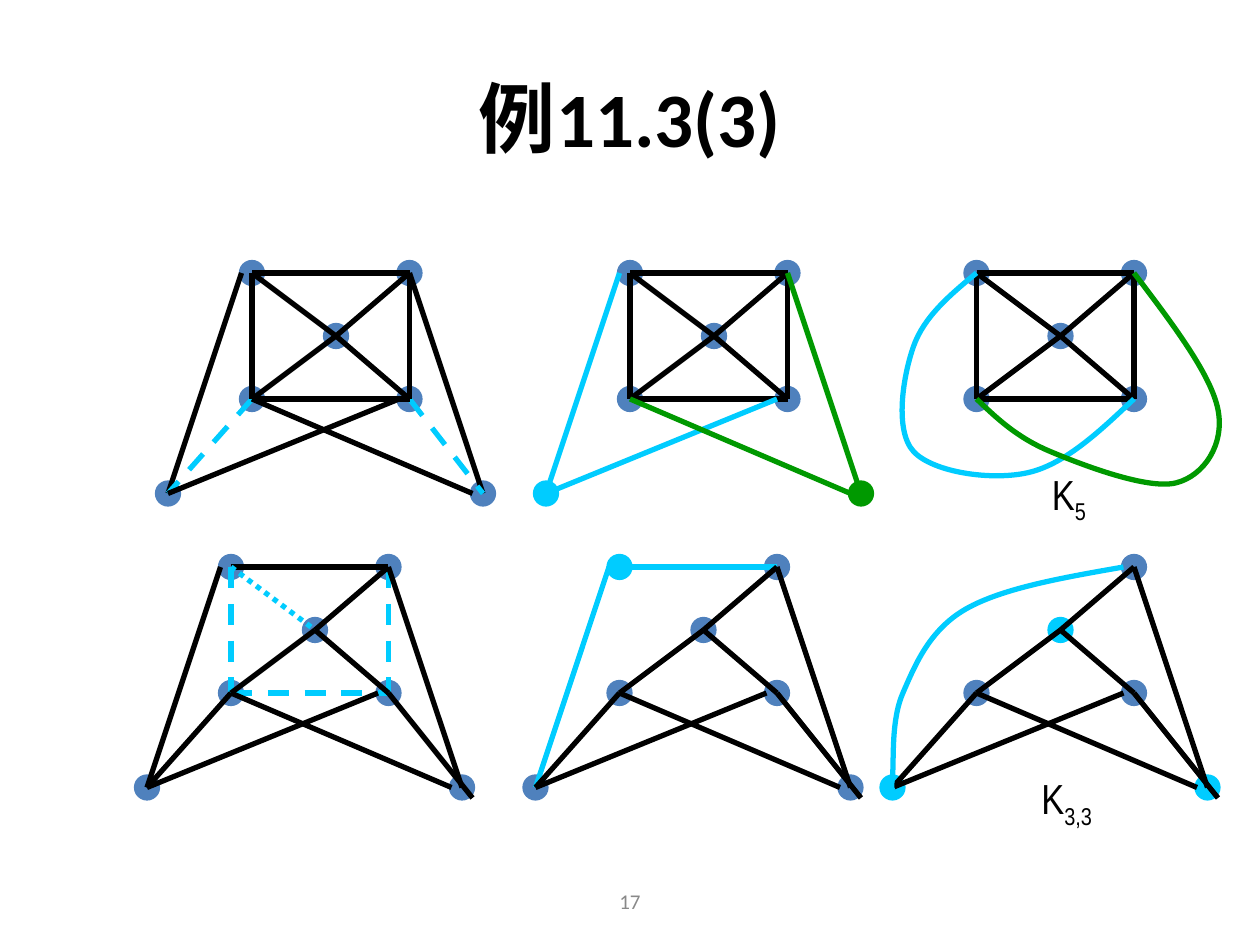
from lxml.etree import SubElement
from pptx import Presentation
from pptx.dml.color import RGBColor
from pptx.enum.dml import MSO_LINE
from pptx.enum.shapes import MSO_CONNECTOR, MSO_SHAPE
from pptx.enum.text import MSO_ANCHOR, MSO_AUTO_SIZE, PP_ALIGN
from pptx.oxml.ns import qn
from pptx.util import Pt

COLORS = {"black": "000000", "node": "4F81BD", "cyan": "00CCFF", "green": "009900", "gray": "898989"}

NODES = {"A": (0, 0), "C": (0, 72), "D": (90, 72), "B": (90, 0), "M": (48, 36), "P": (-48, 126), "Q": (132, 126)}
ENDS = NODES | {"a": (-6, 0), "d": (84, 72), "q": (126, 126), "r": (138, 132)}

SQUARE = "AC BD AB CD AM MD CM MB"
LOWER = "CP BQ Dr MD CM MB Pd Cq"

GRAPHS = [
    {
        "origin": (144, 156),
        "nodes": {"node": "ACDBMPQ"},
        "edges": [("aP BQ", "black", None), ("CP DQ", "cyan", MSO_LINE.DASH),
                  (SQUARE + " Pd Cq", "black", None)],
    },
    {
        "origin": (132, 324),
        "nodes": {"node": "ACDBMPQ"},
        "edges": [("AC BD", "cyan", MSO_LINE.DASH), ("AB", "black", None), ("CD", "cyan", MSO_LINE.DASH),
                  ("aP", "black", None), ("AM", "cyan", MSO_LINE.ROUND_DOT), (LOWER, "black", None)],
    },
    {
        "origin": (360, 156),
        "nodes": {"node": "ACDBM", "cyan": "P", "green": "Q"},
        "edges": [(SQUARE, "black", None), ("aP Pd", "cyan", None), ("BQ Cq", "green", None)],
    },
    {
        "origin": (558, 156),
        "nodes": {"node": "ACDBM"},
        "edges": [(SQUARE, "black", None)],
        "curves": [
            ("cyan", [(0, 0), (-15, 12.5), (-30, 25), (-36, 42), (-42, 59), (-47, 90), (-36, 102),
                      (-25, 114), (9, 119), (30, 114), (51, 109), (71, 90), (90, 72)]),
            ("green", [(0, 72), (11.5, 83), (23, 94), (42, 102), (61, 110), (98, 124), (114, 120),
                       (130, 116), (142, 98), (138, 78), (134, 58), (112, 29), (90, 0)]),
        ],
    },
    {
        "origin": (354, 324),
        "nodes": {"cyan": "A", "node": "CDBMPQ"},
        "edges": [("AB aP", "cyan", None), (LOWER, "black", None)],
    },
    {
        "origin": (558, 324),
        "nodes": {"node": "CDB", "cyan": "MPQ"},
        "edges": [(LOWER, "black", None)],
        "curves": [
            ("cyan", [(-48, 126), (-48, 127.5), (-49, 129), (-48, 120), (-47, 111), (-49, 88), (-42, 72),
                      (-35, 56), (-27, 36), (-6, 24), (15, 12), (50, 6), (84, 0)]),
        ],
    },
]


class GraphSlide:
    node_size = 12
    line_width = 3

    def __init__(self, slide):
        self.slide = slide
        self.shapes = slide.shapes

    def color(self, name):
        return RGBColor.from_string(COLORS[name])

    def format_line(self, line, color, dash=None):
        line.color.rgb = self.color(color)
        line.width = Pt(self.line_width)
        if dash is not None:
            line.dash_style = dash

    def format_run(self, run, size, font, color, bold=None):
        run.font.size = Pt(size)
        run.font.name = font
        run.font.color.rgb = self.color(color)
        run.font.bold = bold

    def title(self, text, left, top, width, height):
        shape = self.shapes.title
        shape.left, shape.top, shape.width, shape.height = map(Pt, (left, top, width, height))
        shape.text_frame.text = text
        shape.text_frame.vertical_anchor = MSO_ANCHOR.MIDDLE
        paragraph = shape.text_frame.paragraphs[0]
        paragraph.alignment = PP_ALIGN.CENTER
        self.format_run(paragraph.runs[0], 44, "Calibri", "black", True)

    def text_box(self, text, left, top, width, height):
        frame = self.shapes.add_textbox(*map(Pt, (left, top, width, height))).text_frame
        frame.word_wrap = True
        frame.text = text
        return frame

    def page_number(self, text, *box):
        frame = self.text_box(text, *box)
        frame.vertical_anchor = MSO_ANCHOR.MIDDLE
        paragraph = frame.paragraphs[0]
        paragraph.alignment = PP_ALIGN.CENTER
        self.format_run(paragraph.runs[0], 12, "Calibri", "gray")

    def label(self, text, subscript, *box):
        frame = self.text_box(text, *box)
        frame.auto_size = MSO_AUTO_SIZE.SHAPE_TO_FIT_TEXT
        paragraph = frame.paragraphs[0]
        paragraph.space_before = Pt(15)
        lowered = paragraph.add_run()
        lowered.text = subscript
        for run in paragraph.runs:
            self.format_run(run, 24, "Arial Narrow", "black")
        lowered._r.get_or_add_rPr().set("baseline", "-25000")

    def node(self, x, y, color):
        size = self.node_size
        shape = self.shapes.add_shape(
            MSO_SHAPE.OVAL, Pt(x - size / 2), Pt(y - size / 2), Pt(size), Pt(size))
        shape.shadow.inherit = False
        shape.fill.solid()
        shape.fill.fore_color.rgb = self.color(color)
        self.format_line(shape.line, color)

    def edge(self, start, end, color, dash):
        connector = self.shapes.add_connector(MSO_CONNECTOR.STRAIGHT, *map(Pt, (*start, *end)))
        self.format_line(connector.line, color, dash)
        SubElement(connector._element.spPr, qn("a:effectLst"))

    def curve(self, points, color):
        start, *controls = [(Pt(x), Pt(y)) for x, y in points]
        builder = self.shapes.build_freeform(*start)
        builder.add_line_segments(controls, close=False)
        shape = builder.convert_to_shape()
        outline = shape._element.find(".//" + qn("a:path"))
        segments = outline.findall(qn("a:lnTo"))
        for first in range(0, len(segments), 3):
            bezier = SubElement(outline, qn("a:cubicBezTo"))
            for segment in segments[first:first + 3]:
                bezier.append(segment[0])
                outline.remove(segment)
        shape.shadow.inherit = False
        shape.fill.background()
        self.format_line(shape.line, color)

    def graph(self, origin, nodes, edges, curves=()):
        def place(point):
            return origin[0] + point[0], origin[1] + point[1]

        for color, names in nodes.items():
            for name in names:
                self.node(*place(NODES[name]), color)
        for pairs, color, dash in edges:
            for start, end in pairs.split():
                self.edge(place(ENDS[start]), place(ENDS[end]), color, dash)
        for color, points in curves:
            self.curve([place(point) for point in points], color)


def main():
    presentation = Presentation()
    presentation.slide_width, presentation.slide_height = Pt(720), Pt(540)
    page = GraphSlide(presentation.slides.add_slide(presentation.slide_layouts[5]))
    page.page_number("17", 246, 500.5, 228, 28.75)
    page.title("例11.3(3)", 36, 21.6, 648, 90)
    for graph in GRAPHS:
        page.graph(**graph)
    page.label("K", "5", 594, 264, 42, 40)
    page.label("K", "3,3", 588, 438, 60, 40)
    presentation.save("out.pptx")


if __name__ == "__main__":
    main()
